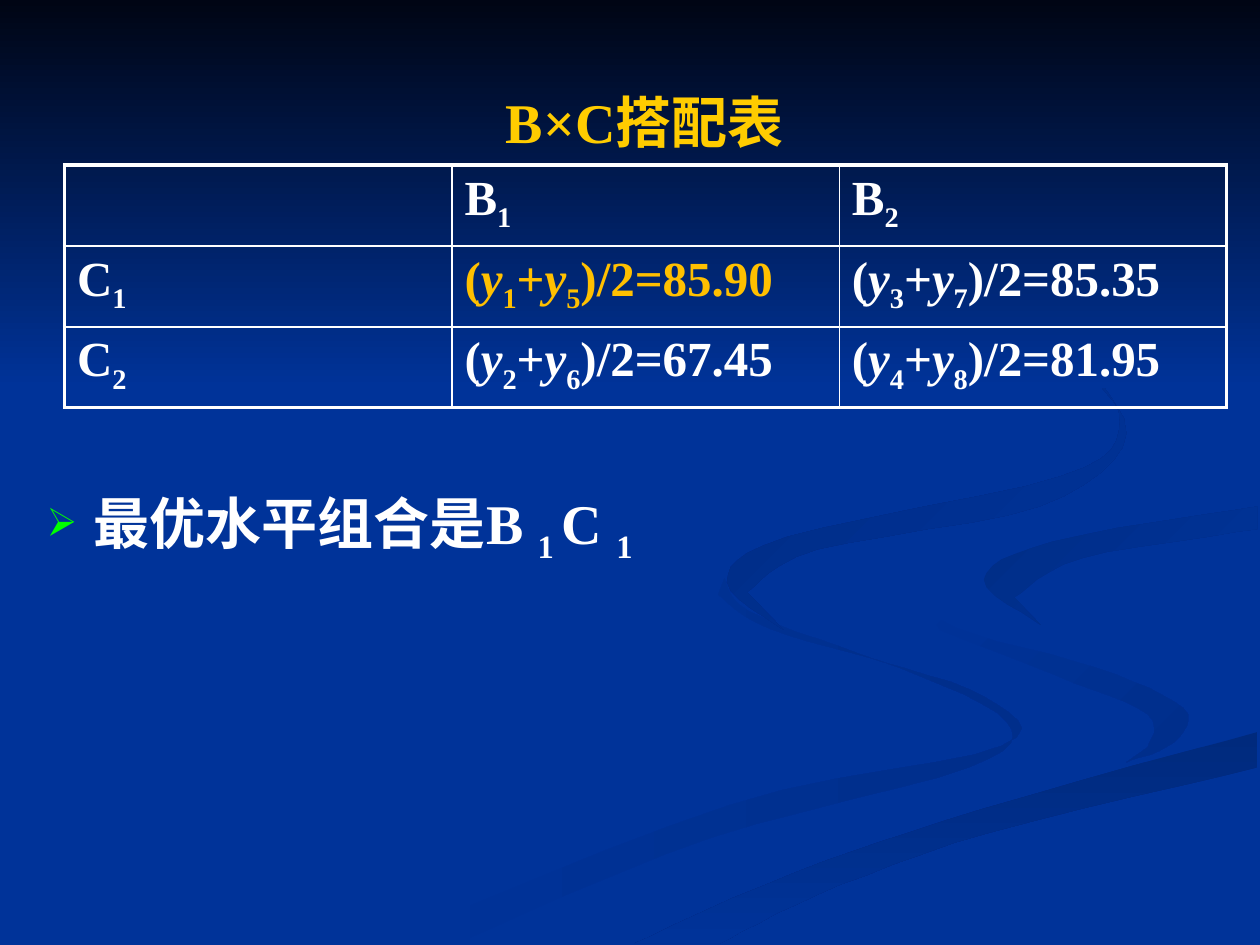
from lxml import etree
from pptx import Presentation
from pptx import util as u
from pptx.dml.color import RGBColor
from pptx.enum import shapes, text
from pptx.oxml.ns import qn

FONT = "Times New Roman"
WHITE, GOLD, AMBER, GREEN = "FFFFFF", "FFCC00", "FFC000", "00FF00"
BLUE, NIGHT = "003399", "000514"
THICK, THIN = 2.25, 1
STEPS = 6  # segments between two points of a ribbon edge

# Ribbons: (start colour, end colour, angle, outer edge, inner edge),
# edges in 1/100 inch, joined end to end
RIBBONS = [
    (BLUE, "002E8B", 0,
     [(575, 459), (594, 485), (682, 519), (781, 553), (795, 592), (579, 639), (300, 749)],
     [(361, 749), (564, 665), (769, 609), (799, 573), (714, 530), (611, 499), (570, 472)]),
    (BLUE, "002E8B", 45,
     [(724, 464), (758, 498), (870, 530), (939, 562), (932, 589), (894, 605)],
     [(911, 593), (911, 567), (838, 536), (746, 500)]),
    ("002A7D", BLUE, 90,
     [(503, 749), (630, 693), (780, 642), (998, 581)],
     [(998, 609), (785, 661), (649, 710), (571, 749)]),
    ("002D86", BLUE, 45,
     [(826, 496), (781, 460), (835, 430), (998, 402)],
     [(998, 420), (859, 443), (805, 474)]),
    ("002B82", BLUE, 45,
     [(762, 233), (846, 279), (889, 335), (842, 378), (625, 426), (577, 462), (622, 500)],
     [(593, 470), (649, 436), (825, 402), (894, 344), (843, 275)]),
]

CELLS = [
    ["", "B_1_", "B_2_"],
    ["C_1_", "(~y~_1_+~y~_5_)/2=85.90", "(~y~_3_+~y~_7_)/2=85.35"],
    ["C_2_", "(~y~_2_+~y~_6_)/2=67.45", "(~y~_4_+~y~_8_)/2=81.95"],
]


def rgb(color):
    return RGBColor.from_string(color)


def add_element(parent, tag, **attributes):
    return etree.SubElement(parent, qn(tag), attributes)


def write(para, content, size=32, color=WHITE, align=text.PP_ALIGN.LEFT):
    """Write bold text in which _x_ is subscript and ~x~ is italic."""
    para.alignment = align
    for i, piece in enumerate(content.split("_")):
        for j, part in enumerate(piece.split("~")):
            if not part:
                continue
            span = para.add_run()
            span.text = part
            font = span.font
            font.name, font.size, font.bold = FONT, u.Pt(size), True
            font.color.rgb = rgb(color)
            if j % 2:
                font.italic = True
            if i % 2:
                font._element.set("baseline", "-25000")


def smooth_edge(points):
    """Return a Catmull-Rom curve through the points."""
    padded = [points[0], *points, points[-1]]
    curve = [points[0]]
    for a, b, c, d in zip(padded, padded[1:], padded[2:], padded[3:]):
        for step in range(1, STEPS + 1):
            t = step / STEPS
            curve.append(tuple(
                q + t / 2 * (r - p + t * (2 * p - 5 * q + 4 * r - s
                                          + t * (3 * (q - r) + s - p)))
                for p, q, r, s in zip(a, b, c, d)))
    return curve


def paint(shape, start, end, angle):
    shape.shadow.inherit = False
    shape.line.fill.background()
    shape.fill.gradient()
    shape.fill.gradient_angle = -angle % 360
    for stop, color, position in zip(shape.fill.gradient_stops, (start, end), (0, 1)):
        stop.color.rgb = rgb(color)
        stop.position = position


def add_ribbon(slide, start, end, angle, outer, inner):
    outline = smooth_edge(outer) + smooth_edge(inner)
    builder = slide.shapes.build_freeform(*outline[0], scale=u.Cm(0.0254))
    builder.add_line_segments(outline[1:], close=True)
    paint(builder.convert_to_shape(), start, end, angle)


def add_sky(slide):
    sky = slide.shapes.add_shape(shapes.MSO_SHAPE.RECTANGLE, 0, 0,
                                 u.Cm(25.4), u.Cm(7.82))
    paint(sky, NIGHT, BLUE, 90)


def set_borders(cell, widths):
    properties = cell._tc.get_or_add_tcPr()
    for index, (side, width) in enumerate(widths.items()):
        line = etree.Element(qn("a:ln" + side), w=str(u.Pt(width)))
        fill = add_element(line, "a:solidFill")
        add_element(fill, "a:srgbClr", val=WHITE)
        properties.insert(index, line)


def add_grid(slide):
    count = len(CELLS)
    frame = slide.shapes.add_table(count, count, u.Cm(1.3), u.Cm(3.33),
                                   u.Cm(23.43), u.Cm(4.89))
    table = frame.table
    table.first_row = table.horz_banding = False
    last = count - 1
    for r, row in enumerate(CELLS):
        for c, content in enumerate(row):
            cell = table.cell(r, c)
            cell.fill.background()
            # Thick frame around the table, thin lines inside
            edges = {"L": c == 0, "R": c == last, "T": r == 0, "B": r == last}
            set_borders(cell, {side: THICK if outer else THIN
                               for side, outer in edges.items()})
            best = (r, c) == (1, 1)
            write(cell.text_frame.paragraphs[0], content, size=28,
                  color=AMBER if best else WHITE)


def add_title(slide, content):
    title = slide.shapes.title
    slide.shapes._spTree.append(title._element)  # in front of the background
    title.left, title.top = u.Cm(1.57), u.Cm(0.86)
    title.width, title.height = u.Cm(22.86), u.Cm(3.18)
    title.text_frame.vertical_anchor = text.MSO_ANCHOR.MIDDLE
    write(title.text_frame.paragraphs[0], content, color=GOLD,
          align=text.PP_ALIGN.CENTER)


def add_bullet_box(slide, content):
    box = slide.shapes.add_textbox(u.Cm(0.69), u.Cm(9.73), u.Cm(22.86), u.Cm(3.07))
    box.text_frame.word_wrap = True
    para = box.text_frame.paragraphs[0]
    properties = para._p.get_or_add_pPr()
    indent = u.Cm(0.95)
    properties.set("marL", str(indent))
    properties.set("indent", str(-indent))
    add_element(add_element(properties, "a:buClr"), "a:srgbClr", val=GREEN)
    add_element(properties, "a:buSzPct", val="70000")
    add_element(properties, "a:buChar", char="➢")
    write(para, content)


def main():
    deck = Presentation()
    deck.slide_width, deck.slide_height = u.Cm(25.4), u.Cm(19.05)
    slide = deck.slides.add_slide(deck.slide_layouts[5])
    slide.background.fill.solid()
    slide.background.fill.fore_color.rgb = rgb(BLUE)

    for ribbon in RIBBONS:
        add_ribbon(slide, *ribbon)
    add_sky(slide)
    add_title(slide, "B×C搭配表")
    add_grid(slide)
    add_bullet_box(slide, "最优水平组合是B _1 _C _1_")
    deck.save("out.pptx")


if __name__ == "__main__":
    main()
